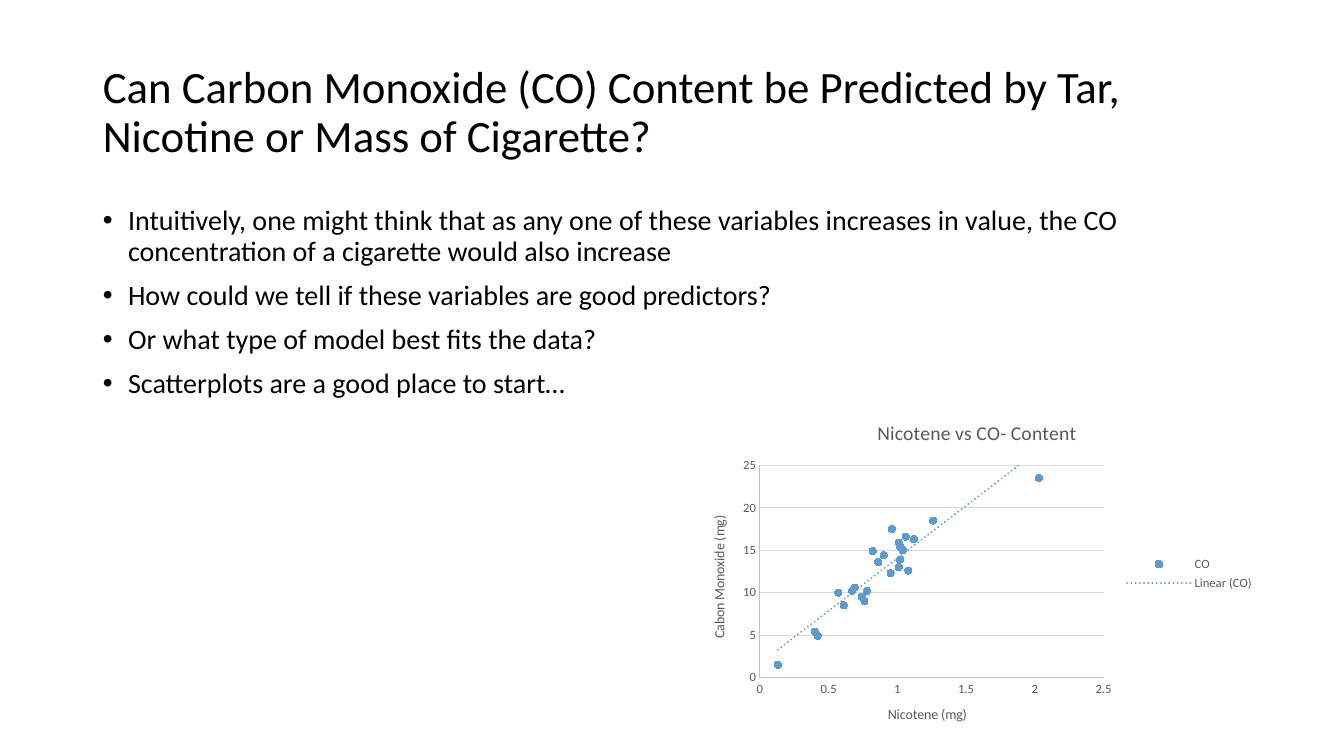
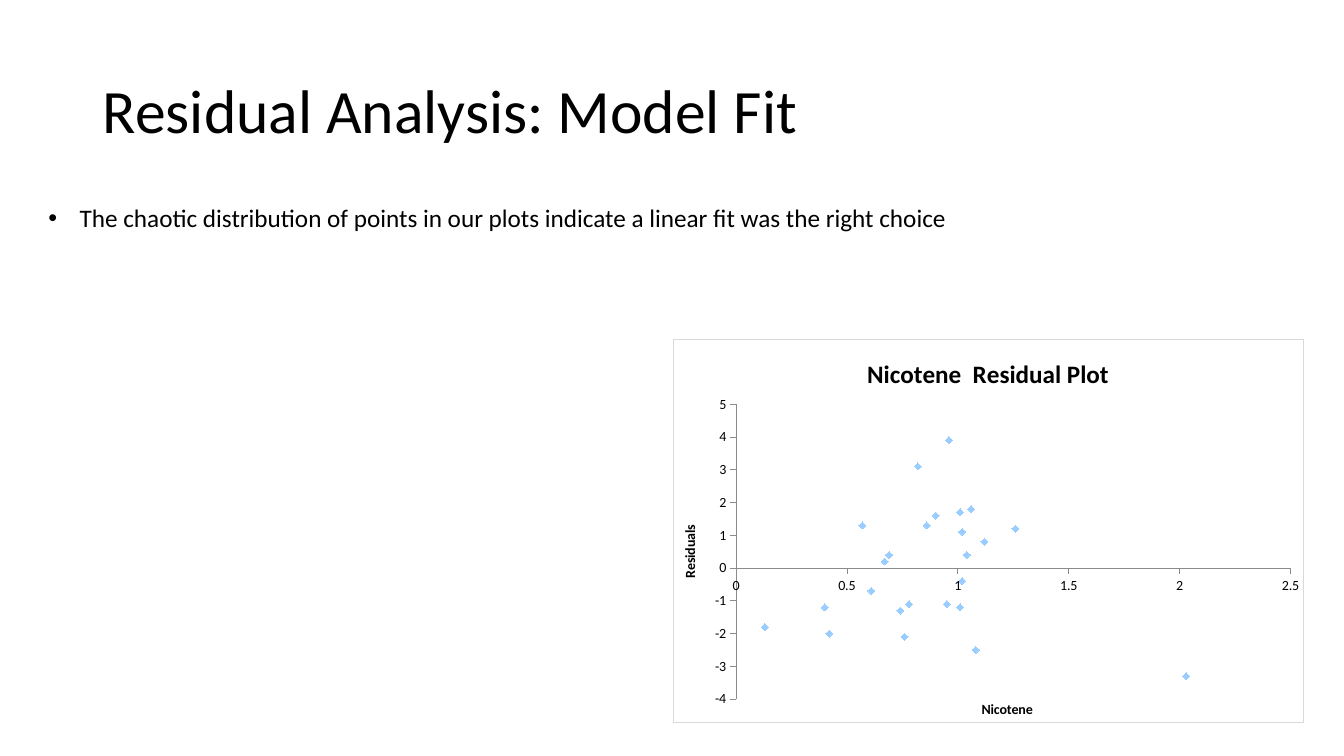
"""Build two slides on predicting the carbon monoxide content of cigarettes."""
from lxml.etree import SubElement
from pptx import Presentation
from pptx.chart.data import XyChartData
from pptx.dml.color import RGBColor
from pptx.enum.chart import XL_CHART_TYPE as ChartType, XL_LEGEND_POSITION as LegendPosition
from pptx.enum.chart import XL_MARKER_STYLE as Marker, XL_TICK_MARK as Tick
from pptx.enum.dml import MSO_LINE
from pptx.enum.text import MSO_ANCHOR, MSO_AUTO_SIZE, PP_ALIGN
from pptx.oxml import parse_xml
from pptx.oxml.ns import nsdecls, qn
from pptx.util import Inches, Pt

BLACK = RGBColor(0x00, 0x00, 0x00)
GRAY = RGBColor(0x59, 0x59, 0x59)
AXIS_GRAY = RGBColor(0xBF, 0xBF, 0xBF)
DARK_AXIS = RGBColor(0x8B, 0x8B, 0x8B)
GRID_GRAY = RGBColor(0xD9, 0xD9, 0xD9)
BLUE = RGBColor(0x5B, 0x9B, 0xD5)
LIGHT_BLUE = RGBColor(0x99, 0xCC, 0xFF)
FONT = "Calibri"
TITLE_AREA = (6.9, 5.33, 86.25, 19.33)

NICOTINE = [0.86, 1.06, 2.03, 0.67, 0.4, 1.04, 0.76, 0.95, 1.12, 1.02, 1.01, 0.9, 0.57,
            0.78, 0.74, 0.13, 1.26, 1.08, 0.96, 0.42, 1.01, 0.61, 0.69, 1.02, 0.82]
MONOXIDE = [13.6, 16.6, 23.5, 10.2, 5.4, 15, 9, 12.3, 16.3, 15.4, 13, 14.4, 10,
            10.2, 9.5, 1.5, 18.5, 12.6, 17.5, 4.9, 15.9, 8.5, 10.6, 13.9, 14.9]
RESIDUALS = [1.3, 1.8, -3.3, 0.2, -1.2, 0.4, -2.1, -1.1, 0.8, 1.1, -1.2, 1.6, 1.3,
             -1.1, -1.3, -1.8, 1.2, -2.5, 3.9, -2, 1.7, -0.7, 0.4, -0.4, 3.1]

SLIDES = [
    dict(title="Can Carbon Monoxide (CO) Content be Predicted by Tar, "
               "Nicotine or Mass of Cigarette?",
         title_size=32, body_area=(6.9, 26.67, 86.25, 63.47), body_size=20,
         indent=0.25, line_spacing=0.9, space_before=10,
         bullets=["Intuitively, one might think that as any one of these variables increases "
                  "in value, the CO concentration of a cigarette would also increase",
                  "How could we tell if these variables are good predictors?",
                  "Or what type of model best fits the data?",
                  "Scatterplots are a good place to start…"],
         chart_area=(51.31, 53.33, 42.76, 45.07), series="CO", values=MONOXIDE,
         chart_title="Nicotene vs CO- Content", chart_title_size=14,
         axis_titles=("Nicotene (mg)", "Cabon Monoxide (mg)"), bold=False,
         color=GRAY, label_size=9, axis_color=AXIS_GRAY, axis_width=0.75,
         tick=Tick.NONE, scale=(0, 25, 5), marker=Marker.CIRCLE, marker_color=BLUE,
         trend=True, border=None, plot=None),
    dict(title="Residual Analysis: Model Fit",
         title_size=44, body_area=(2.85, 26.13, 84.62, 5.33), body_size=18,
         indent=0.31, line_spacing=1.0, space_before=0,
         bullets=["The chaotic distribution of points in our plots indicate "
                  "a linear fit was the right choice"],
         chart_area=(50.04, 44.8, 46.96, 50.8), series="Series 1", values=RESIDUALS,
         chart_title="Nicotene  Residual Plot", chart_title_size=18,
         axis_titles=("Nicotene", "Residuals"), bold=True,
         color=BLACK, label_size=10, axis_color=DARK_AXIS, axis_width=0.5,
         tick=Tick.OUTSIDE, scale=(-4, 5, 1), marker=Marker.DIAMOND, marker_color=LIGHT_BLUE,
         trend=False, border=GRID_GRAY, plot=dict(x=0.1, y=0.17, w=0.88, h=0.77)),
]

deck = Presentation()
deck.slide_width, deck.slide_height = Inches(13.33), Inches(7.5)


def area(shares):
    """Turn percentages of the slide into left, top, width and height."""
    sides = (deck.slide_width, deck.slide_height) * 2
    return [int(side * share / 100) for side, share in zip(sides, shares)]


def style(font, size, color, bold=False):
    """Give a font the shared face with its own size, colour and weight."""
    font.name, font.size, font.bold = FONT, Pt(size), bold
    font.color.rgb = color


for page in SLIDES:
    slide = deck.slides.add_slide(deck.slide_layouts[1])
    title, body = slide.placeholders
    title.text_frame.text = page["title"]
    body.text_frame.text = "\n".join(page["bullets"])
    title.text_frame.vertical_anchor = MSO_ANCHOR.MIDDLE
    for box, shares, size in ((title, TITLE_AREA, page["title_size"]),
                              (body, page["body_area"], page["body_size"])):
        box.left, box.top, box.width, box.height = area(shares)
        box.text_frame.auto_size = MSO_AUTO_SIZE.NONE
        box.text_frame.word_wrap = True
        for para in box.text_frame.paragraphs:
            para.alignment = PP_ALIGN.LEFT
            para.line_spacing = 0.9 if box is title else page["line_spacing"]
            para.space_before = Pt(0 if box is title else page["space_before"])
            for span in para.runs:
                style(span.font, size, BLACK)
            if box is body:
                properties = para._p.get_or_add_pPr()
                properties.set("marL", str(Inches(page["indent"])))
                properties.set("indent", str(-Inches(page["indent"])))

    data = XyChartData()
    points = data.add_series(page["series"])
    for nicotine, value in zip(NICOTINE, page["values"]):
        points.add_data_point(nicotine, value)
    chart = slide.shapes.add_chart(ChartType.XY_SCATTER, *area(page["chart_area"]), data).chart
    style(chart.font, page["label_size"], page["color"])
    chart.has_title = True
    chart.chart_title.text_frame.text = page["chart_title"]
    style(chart.chart_title.text_frame.paragraphs[0].runs[0].font,
          page["chart_title_size"], page["color"], page["bold"])

    scales = ((0, 2.5, 0.5), page["scale"])
    for axis, name, scale in zip((chart.category_axis, chart.value_axis),
                                 page["axis_titles"], scales):
        axis.minimum_scale, axis.maximum_scale, axis.major_unit = scale
        axis.has_major_gridlines = False
        axis.major_tick_mark, axis.minor_tick_mark = page["tick"], Tick.NONE
        axis.format.line.color.rgb = page["axis_color"]
        axis.format.line.width = Pt(page["axis_width"])
        style(axis.tick_labels.font, page["label_size"], page["color"])
        axis.axis_title.text_frame.text = name
        style(axis.axis_title.text_frame.paragraphs[0].runs[0].font,
              10, page["color"], page["bold"])
    turned = chart.element.xpath(".//c:valAx/c:title//a:bodyPr")[-1]
    turned.set("rot", "-5400000")
    turned.set("vert", "horz")

    series = chart.plots[0].series[0]
    series.format.line.fill.background()
    series.marker.style, series.marker.size = page["marker"], 5
    series.marker.format.fill.solid()
    series.marker.format.fill.fore_color.rgb = page["marker_color"]
    series.marker.format.line.color.rgb = page["marker_color"]

    chart.has_legend = page["trend"]
    if page["trend"]:
        chart.legend.position = LegendPosition.RIGHT
        chart.legend.include_in_layout = False
        style(chart.legend.font, page["label_size"], page["color"])
        gridline = chart.value_axis.major_gridlines.format.line
        gridline.color.rgb, gridline.width = GRID_GRAY, Pt(0.75)
        chart.element.xpath(".//c:xVal")[0].addprevious(parse_xml(
            f'<c:trendline {nsdecls("c", "a")}><c:spPr><a:ln w="{Pt(1.5)}" cap="rnd"><a:solidFill>'
            f'<a:srgbClr val="{BLUE}"/></a:solidFill><a:prstDash val="sysDot"/></a:ln></c:spPr>'
            '<c:trendlineType val="linear"/><c:dispRSqr val="0"/><c:dispEq val="0"/></c:trendline>'))

    outline = "<a:noFill/>"
    if page["border"]:
        outline = f'<a:solidFill><a:srgbClr val="{page["border"]}"/></a:solidFill>'
    chart.element.find(qn("c:chart")).addnext(parse_xml(
        f'<c:spPr {nsdecls("c", "a")}><a:solidFill><a:srgbClr val="FFFFFF"/></a:solidFill>'
        f'<a:ln w="{Pt(0.75)}">{outline}</a:ln></c:spPr>'))

    if page["plot"]:
        plot_area = chart.element.xpath(".//c:plotArea")[0]
        for layout in plot_area.findall(qn("c:layout")):
            plot_area.remove(layout)
        layout = parse_xml(f'<c:layout {nsdecls("c")}><c:manualLayout/></c:layout>')
        settings = dict(layoutTarget="inner", xMode="edge", yMode="edge", **page["plot"])
        for name, value in settings.items():
            SubElement(layout[0], qn(f"c:{name}")).set("val", str(value))
        plot_area.insert(0, layout)

deck.save("out.pptx")
